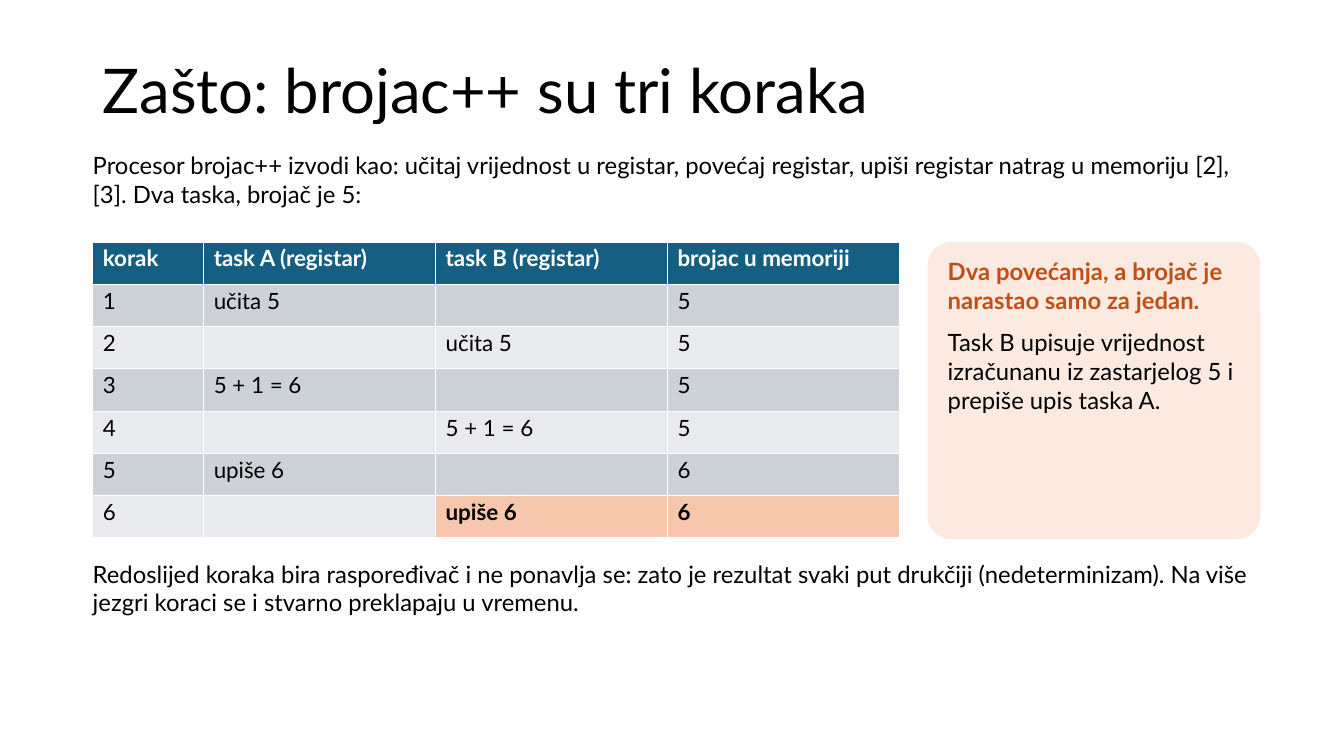
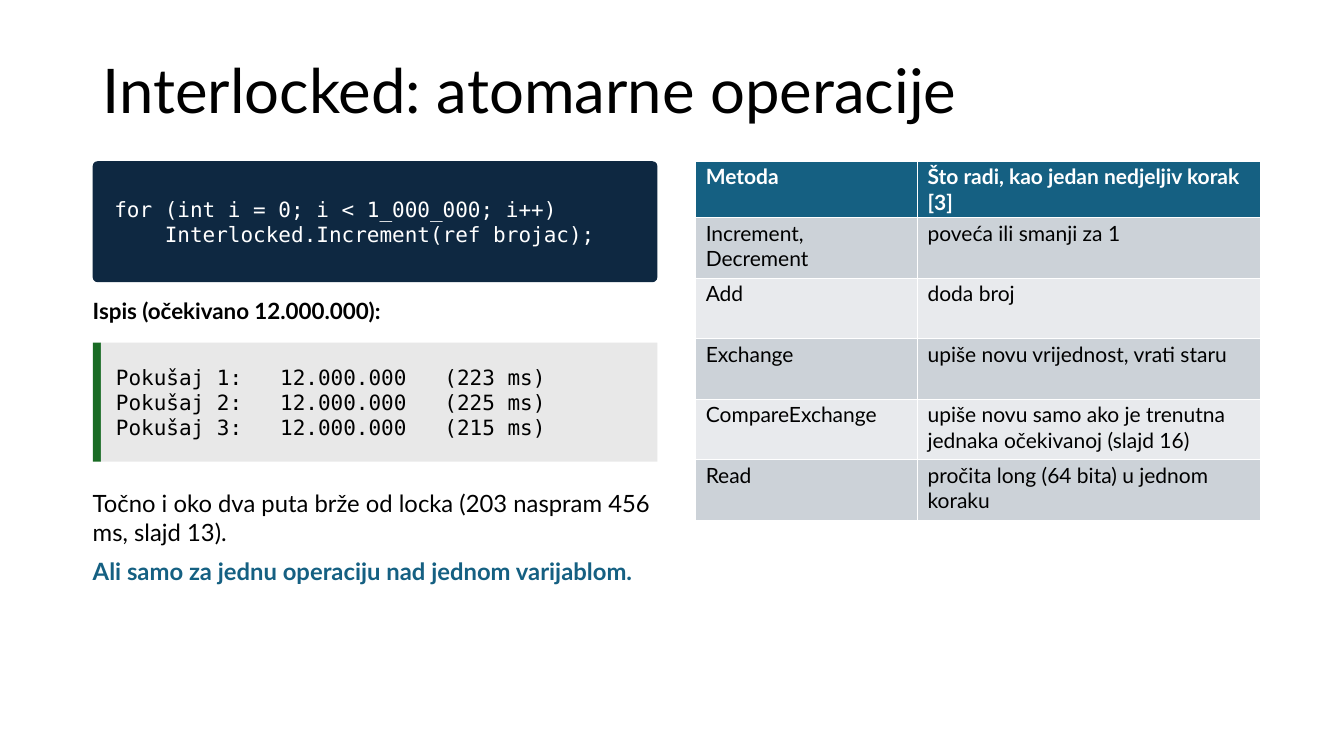
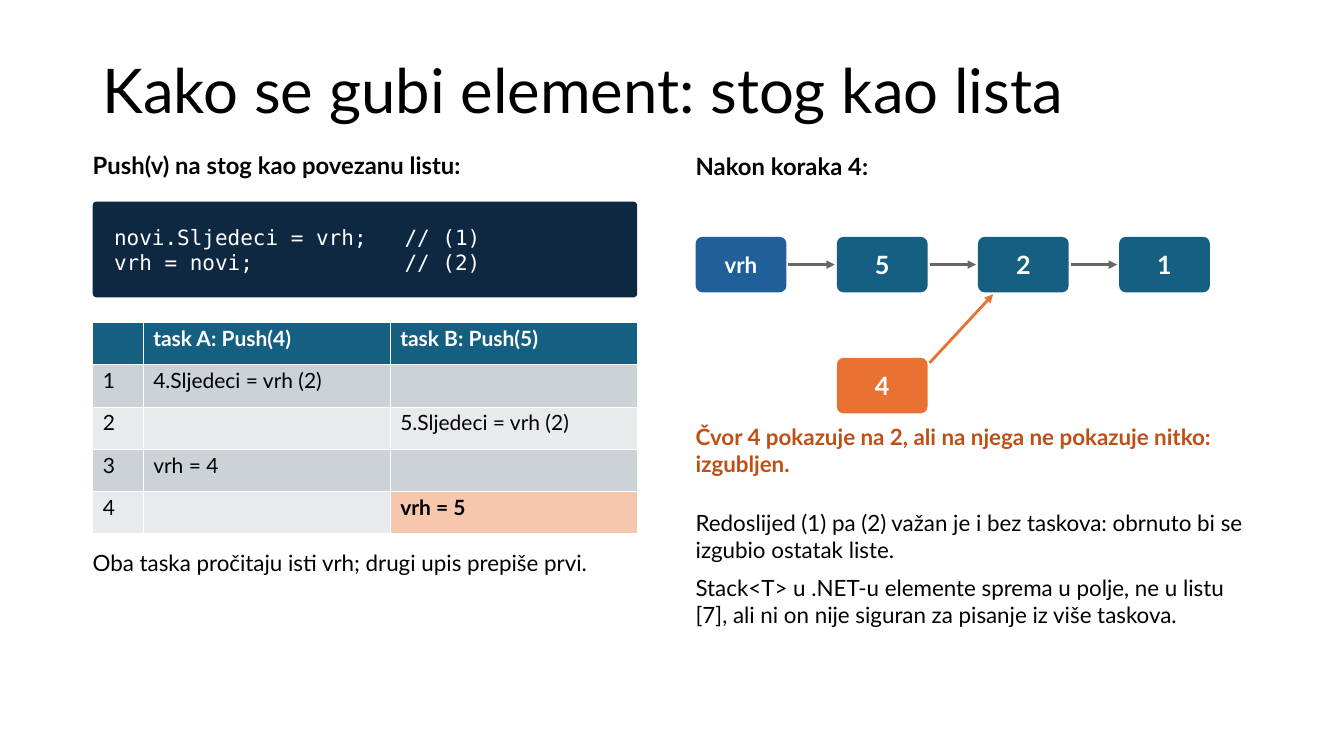
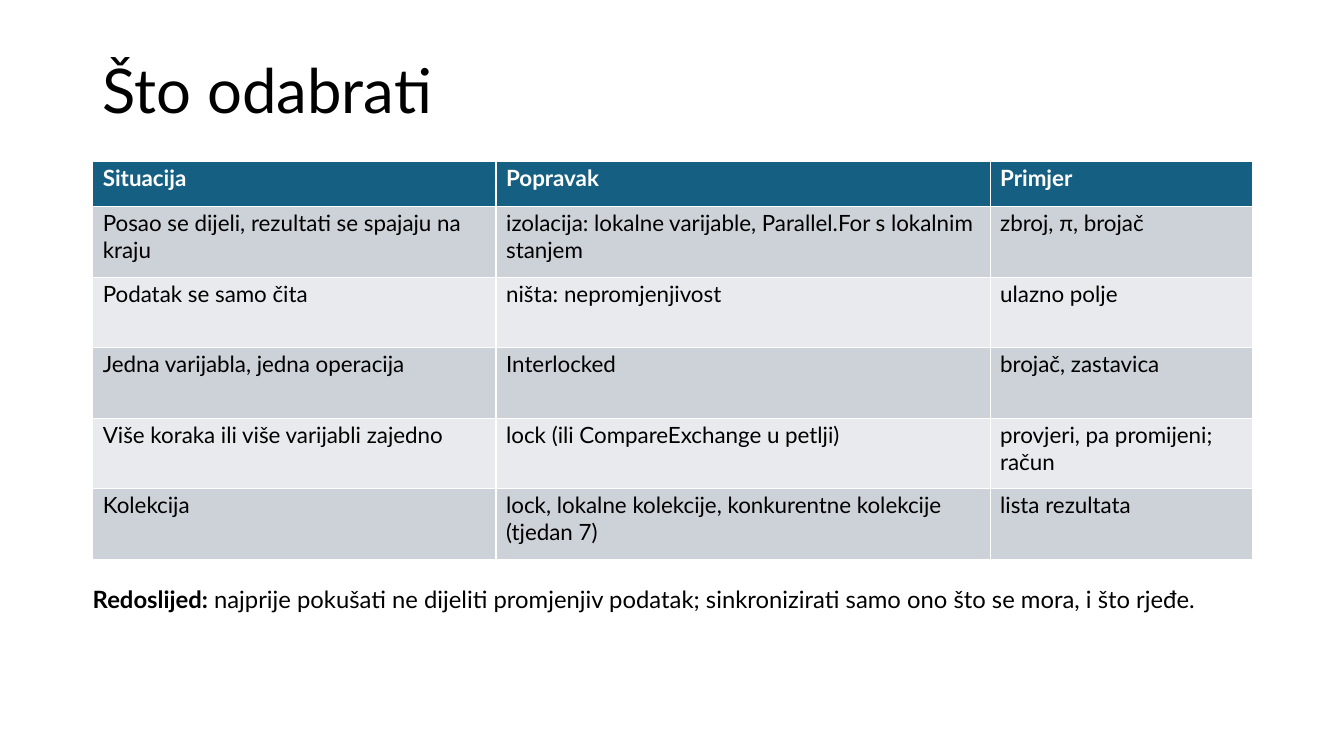
import pptx
import pptx.util
import pptx.dml.color
import pptx.enum.shapes
import pptx.enum.text
import pptx.oxml.ns
import lxml.etree

Inches = pptx.util.Inches
SHAPES = pptx.enum.shapes.MSO_SHAPE
ANCHORS = pptx.enum.text.MSO_ANCHOR
CENTER = pptx.enum.text.PP_ALIGN.CENTER

# Shared style
SANS, MONO = "Lato", "DejaVu Sans Mono"
BLACK, WHITE = "000000", "FFFFFF"
TEAL, NAVY, BLUE, GREEN = "156082", "0E2841", "215F9A", "196B24"
ORANGE, RUST, PEACH, CREAM = "E97132", "C04F15", "F6C6AD", "FCEAE0"
ROW_FILLS = ("CCD2D8", "E8EAED")
GREY, ARROW_GREY = "E8E8E8", "666666"
LEFT, RIGHT_COLUMN = 0.92, 6.9
FULL_WIDTH, COLUMN_WIDTH = 11.5, 5.6
NO_INSETS = (0, 0, 0, 0)

# Content
STEPS_TITLE = "Zašto: brojac++ su tri koraka"
STEPS_INTRO = ["Procesor brojac++ izvodi kao: učitaj vrijednost u registar, povećaj registar, "
               "upiši registar natrag u memoriju [2], [3]. Dva taska, brojač je 5:"]
STEPS_ROWS = [
    ("korak", "task A (registar)", "task B (registar)", "brojac u memoriji"),
    ("1", "učita 5", "", "5"),
    ("2", "", "učita 5", "5"),
    ("3", "5 + 1 = 6", "", "5"),
    ("4", "", "5 + 1 = 6", "5"),
    ("5", "upiše 6", "", "6"),
    ("6", "", "upiše 6", "6"),
]
STEPS_CALLOUT = [
    [("Dva povećanja, a brojač je narastao samo za jedan.", {"color": RUST, "bold": True})],
    "Task B upisuje vrijednost izračunanu iz zastarjelog 5 i prepiše upis taska A.",
]
STEPS_NOTE = ["Redoslijed koraka bira raspoređivač i ne ponavlja se: zato je rezultat svaki put "
              "drukčiji (nedeterminizam). Na više jezgri koraci se i stvarno preklapaju u vremenu."]

ATOMIC_TITLE = "Interlocked: atomarne operacije"
ATOMIC_CODE = [
    "for (int i = 0; i < 1_000_000; i++)",
    "    Interlocked.Increment(ref brojac);",
]
OUTPUT_LABEL = ["Ispis (očekivano 12.000.000):"]
OUTPUT_LINES = [
    "Pokušaj 1:   12.000.000   (223 ms)",
    "Pokušaj 2:   12.000.000   (225 ms)",
    "Pokušaj 3:   12.000.000   (215 ms)",
]
ATOMIC_NOTE = [
    "Točno i oko dva puta brže od locka (203 naspram 456 ms, slajd 13).",
    [("Ali samo za jednu operaciju nad jednom varijablom.", {"color": TEAL, "bold": True})],
]
METHOD_ROWS = [
    ("Metoda", "Što radi, kao jedan nedjeljiv korak [3]"),
    ("Increment, Decrement", "poveća ili smanji za 1"),
    ("Add", "doda broj"),
    ("Exchange", "upiše novu vrijednost, vrati staru"),
    ("CompareExchange", "upiše novu samo ako je trenutna jednaka očekivanoj (slajd 16)"),
    ("Read", "pročita long (64 bita) u jednom koraku"),
]

STACK_TITLE = "Kako se gubi element: stog kao lista"
PUSH_LABEL = ["Push(v) na stog kao povezanu listu:"]
PUSH_CODE = [
    "novi.Sljedeci = vrh;   // (1)",
    "vrh = novi;            // (2)",
]
PUSH_ROWS = [
    ("", "task A: Push(4)", "task B: Push(5)"),
    ("1", "4.Sljedeci = vrh (2)", ""),
    ("2", "", "5.Sljedeci = vrh (2)"),
    ("3", "vrh = 4", ""),
    ("4", "", "vrh = 5"),
]
PUSH_NOTE = ["Oba taska pročitaju isti vrh; drugi upis prepiše prvi."]
LIST_LABEL = ["Nakon koraka 4:"]
LIST_NODES = [("vrh", BLUE, 16), ("5", TEAL, 18), ("2", TEAL, 18), ("1", TEAL, 18)]
LOST_NODE = ("4", ORANGE, 18)
LOST_NOTE = ["Čvor 4 pokazuje na 2, ali na njega ne pokazuje nitko: izgubljen."]
STACK_NOTE = [
    "Redoslijed (1) pa (2) važan je i bez taskova: obrnuto bi se izgubio ostatak liste.",
    "Stack<T> u .NET-u elemente sprema u polje, ne u listu [7], ali ni on nije siguran "
    "za pisanje iz više taskova.",
]

CHOICE_TITLE = "Što odabrati"
CHOICE_ROWS = [
    ("Situacija", "Popravak", "Primjer"),
    ("Posao se dijeli, rezultati se spajaju na kraju",
     "izolacija: lokalne varijable, Parallel.For s lokalnim stanjem", "zbroj, π, brojač"),
    ("Podatak se samo čita", "ništa: nepromjenjivost", "ulazno polje"),
    ("Jedna varijabla, jedna operacija", "Interlocked", "brojač, zastavica"),
    ("Više koraka ili više varijabli zajedno", "lock (ili CompareExchange u petlji)",
     "provjeri, pa promijeni; račun"),
    ("Kolekcija", "lock, lokalne kolekcije, konkurentne kolekcije (tjedan 7)",
     "lista rezultata"),
]
CHOICE_NOTE = [[
    ("Redoslijed: ", {"bold": True}),
    ("najprije pokušati ne dijeliti promjenjiv podatak; sinkronizirati samo ono što se mora, "
     "i što rjeđe.", {}),
]]


def rgb(color):
    return pptx.dml.color.RGBColor.from_string(color)


def write_text(frame, paragraphs, size=17, font=SANS, color=BLACK, bold=False,
               align=None, space_after=None, line_spacing=None):
    """Each paragraph is a string or a list of (text, format overrides) runs."""
    for index, content in enumerate(paragraphs):
        paragraph = frame.add_paragraph() if index else frame.paragraphs[0]
        paragraph.alignment = align
        paragraph.line_spacing = line_spacing
        if space_after:
            paragraph.space_after = pptx.util.Pt(space_after)
        runs = [(content, {})] if isinstance(content, str) else content
        for text, overrides in runs:
            run = paragraph.add_run()
            run.text = text
            run.font.name = font
            run.font.size = pptx.util.Pt(size)
            run.font.bold = overrides.get("bold", bold)
            run.font.color.rgb = rgb(overrides.get("color", color))


def set_insets(target, insets):
    (target.margin_left, target.margin_top,
     target.margin_right, target.margin_bottom) = [Inches(inset) for inset in insets]


def add_text(slide, box, paragraphs, insets=NO_INSETS, anchor=ANCHORS.TOP, **text_format):
    frame = slide.shapes.add_textbox(*map(Inches, box)).text_frame
    frame.word_wrap = True
    frame.vertical_anchor = anchor
    set_insets(frame, insets)
    write_text(frame, paragraphs, **text_format)


def add_panel(slide, box, fill, paragraphs=(), corner=None, insets=(0.1, 0.05, 0.1, 0.05),
              **text_format):
    kind = SHAPES.ROUNDED_RECTANGLE if corner else SHAPES.RECTANGLE
    shape = slide.shapes.add_shape(kind, *map(Inches, box))
    if corner:
        shape.adjustments[0] = corner
    shape.shadow.inherit = False
    shape.fill.solid()
    shape.fill.fore_color.rgb = rgb(fill)
    shape.line.fill.background()
    shape.text_frame.vertical_anchor = ANCHORS.MIDDLE
    set_insets(shape.text_frame, insets)
    write_text(shape.text_frame, paragraphs, **text_format)


def add_code(slide, box, lines):
    add_panel(slide, box, NAVY, lines, corner=0.04, insets=(0.2, 0.05, 0.1, 0.05),
              size=15, font=MONO, color=WHITE, align=pptx.enum.text.PP_ALIGN.LEFT)


def add_grid(slide, left, top, rows, widths, header_height, row_height, size=16, highlights=()):
    heights = [header_height] + [row_height] * (len(rows) - 1)
    table = slide.shapes.add_table(
        len(rows), len(widths), Inches(left), Inches(top),
        Inches(sum(widths)), Inches(sum(heights))).table
    for column, width in zip(table.columns, widths):
        column.width = Inches(width)
    for row_index, texts in enumerate(rows):
        table.rows[row_index].height = Inches(heights[row_index])
        for column_index, text in enumerate(texts):
            header = row_index == 0
            marked = (row_index, column_index) in highlights
            cell = table.cell(row_index, column_index)
            set_insets(cell, (0.1, 0.03, 0.1, 0.03))
            cell.fill.solid()
            cell.fill.fore_color.rgb = rgb(
                TEAL if header else PEACH if marked else ROW_FILLS[(row_index - 1) % 2])
            if text:
                write_text(cell.text_frame, [text], size=size, bold=header or marked,
                           color=WHITE if header else BLACK)


def add_arrow(slide, start, end, color):
    connector = slide.shapes.add_connector(
        pptx.enum.shapes.MSO_CONNECTOR.STRAIGHT, *map(Inches, start + end))
    connector.line.color.rgb = rgb(color)
    connector.line.width = pptx.util.Pt(2)
    qn = pptx.oxml.ns.qn
    properties = connector.element.find(qn("p:spPr"))
    lxml.etree.SubElement(properties.find(qn("a:ln")), qn("a:tailEnd"), type="triangle")
    lxml.etree.SubElement(properties, qn("a:effectLst"))


def add_slide(presentation, title):
    slide = presentation.slides.add_slide(presentation.slide_layouts[6])
    add_text(slide, (LEFT, 0.4, FULL_WIDTH, 1.06), [title], insets=(0.1, 0.05, 0.1, 0.05),
             anchor=ANCHORS.MIDDLE, size=44, line_spacing=0.9)
    return slide


def build_steps(presentation):
    slide = add_slide(presentation, STEPS_TITLE)
    add_text(slide, (LEFT, 1.5, FULL_WIDTH, 0.8), STEPS_INTRO)
    add_grid(slide, LEFT, 2.4, STEPS_ROWS, (1.1, 2.3, 2.3, 2.3), 0.42, 0.42,
             highlights={(6, 2), (6, 3)})
    add_panel(slide, (9.2, 2.4, 3.3, 2.95), CREAM, corner=0.08)
    add_text(slide, (9.4, 2.55, 2.9, 2.7), STEPS_CALLOUT, space_after=10)
    add_text(slide, (LEFT, 5.55, FULL_WIDTH, 1.2), STEPS_NOTE)


def build_atomic(presentation):
    slide = add_slide(presentation, ATOMIC_TITLE)
    add_code(slide, (LEFT, 1.6, COLUMN_WIDTH, 1.2), ATOMIC_CODE)
    # Program output with a green edge
    add_text(slide, (LEFT, 2.95, COLUMN_WIDTH, 0.4), OUTPUT_LABEL, size=16, bold=True)
    edge = 0.08
    add_panel(slide, (LEFT, 3.4, edge, 1.18), GREEN)
    add_panel(slide, (LEFT + edge, 3.4, COLUMN_WIDTH - edge, 1.18), GREY, OUTPUT_LINES,
              insets=(0.15, 0.05, 0.1, 0.05), size=15, font=MONO,
              align=pptx.enum.text.PP_ALIGN.LEFT)
    add_text(slide, (LEFT, 4.85, COLUMN_WIDTH, 1.9), ATOMIC_NOTE, space_after=8)
    add_grid(slide, RIGHT_COLUMN, 1.6, METHOD_ROWS, (2.2, 3.4), 0.45, 0.6, size=15)


def build_stack(presentation):
    slide = add_slide(presentation, STACK_TITLE)
    # Left column: code and interleaving
    width = 5.4
    add_text(slide, (LEFT, 1.5, width, 0.5), PUSH_LABEL, bold=True)
    add_code(slide, (LEFT, 2, width, 0.95), PUSH_CODE)
    add_grid(slide, LEFT, 3.2, PUSH_ROWS, (0.5, 2.45, 2.45), 0.42, 0.42, size=15,
             highlights={(4, 2)})
    add_text(slide, (LEFT, 5.45, width, 1.3), PUSH_NOTE, size=16)

    # Right column: linked list with the lost node below
    add_text(slide, (RIGHT_COLUMN, 1.5, COLUMN_WIDTH, 0.45), LIST_LABEL, bold=True)
    node_width, node_height, pitch, gap = 0.9, 0.55, 1.41, 0.02
    pitch = node_width + 0.5
    list_top, lost_top = 2.35, 3.55

    def add_node(position, top, node):
        text, fill, size = node
        add_panel(slide, (RIGHT_COLUMN + position * pitch, top, node_width, node_height), fill,
                  [text], corner=0.12, insets=(0.05, 0.02, 0.05, 0.02), size=size,
                  color=WHITE, bold=True, align=CENTER)

    for position, node in enumerate(LIST_NODES):
        add_node(position, list_top, node)
        if position:
            end = RIGHT_COLUMN + position * pitch - gap
            start = end - (pitch - node_width) + 2 * gap
            middle = list_top + node_height / 2
            add_arrow(slide, (start, middle), (end, middle), ARROW_GREY)
    add_node(1, lost_top, LOST_NODE)
    add_arrow(slide, (RIGHT_COLUMN + pitch + node_width + gap, lost_top + 0.05),
              (RIGHT_COLUMN + 2 * pitch + 0.15, list_top + node_height + gap), ORANGE)

    add_text(slide, (RIGHT_COLUMN, 4.2, COLUMN_WIDTH, 0.7), LOST_NOTE, size=16, color=RUST,
             bold=True)
    add_text(slide, (RIGHT_COLUMN, 5.05, COLUMN_WIDTH, 1.8), STACK_NOTE, size=16, space_after=8)


def build_choice(presentation):
    slide = add_slide(presentation, CHOICE_TITLE)
    add_grid(slide, LEFT, 1.6, CHOICE_ROWS, (4, 4.9, 2.6), 0.45, 0.7)
    add_text(slide, (LEFT, 5.8, FULL_WIDTH, 0.9), CHOICE_NOTE)


def main():
    presentation = pptx.Presentation()
    presentation.slide_width = Inches(13.33)
    presentation.slide_height = Inches(7.5)
    for build in (build_steps, build_atomic, build_stack, build_choice):
        build(presentation)
    presentation.save("out.pptx")


if __name__ == "__main__":
    main()
